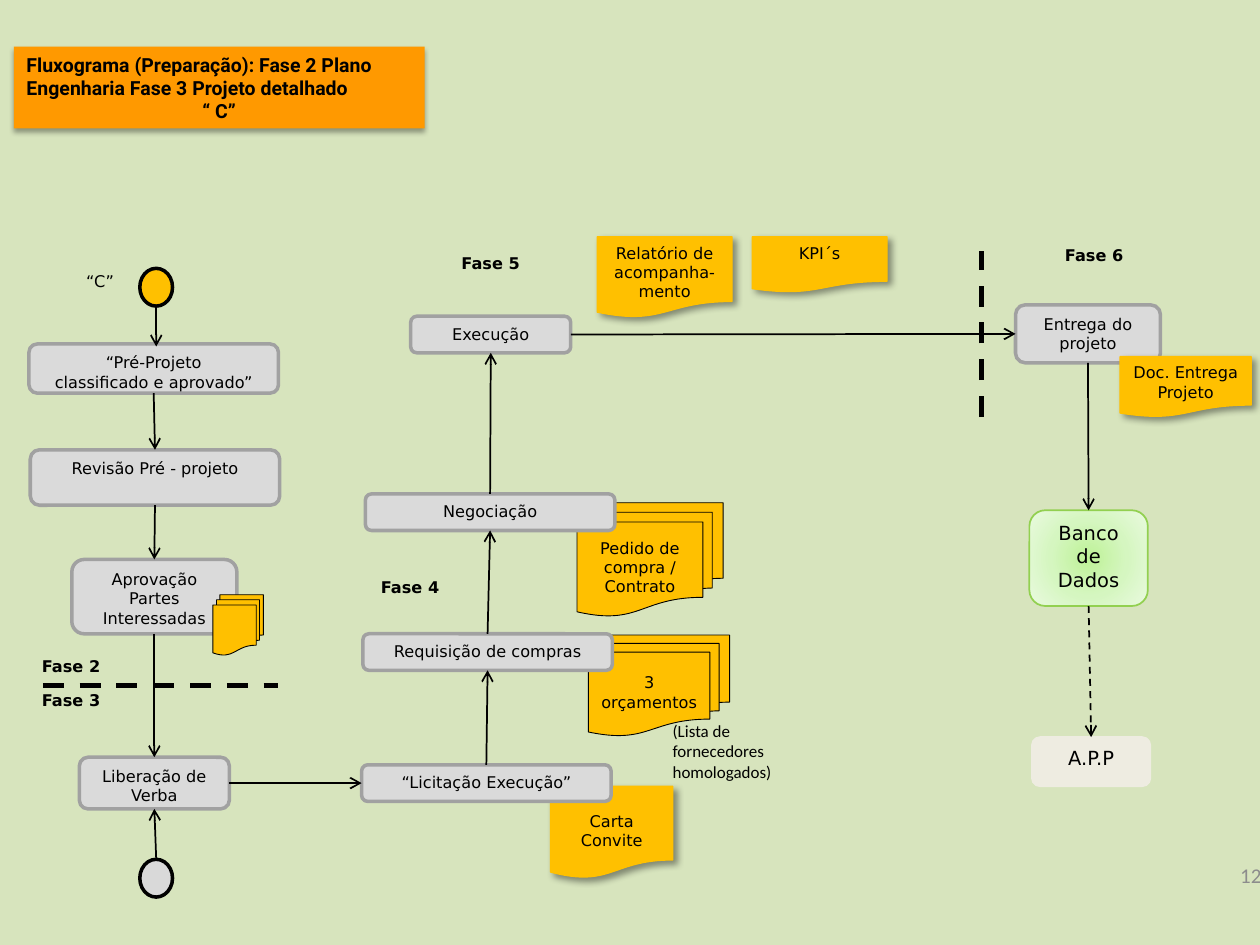
from dataclasses import dataclass, replace

from lxml import etree
from pptx import Presentation
from pptx.dml.color import RGBColor
from pptx.enum.dml import MSO_LINE
from pptx.enum.shapes import MSO_CONNECTOR, MSO_SHAPE
from pptx.enum.text import MSO_ANCHOR, PP_ALIGN
from pptx.oxml.ns import qn
from pptx.util import Inches, Pt

ROUND = MSO_SHAPE.ROUNDED_RECTANGLE
DOC = MSO_SHAPE.FLOWCHART_DOCUMENT
MULTI = MSO_SHAPE.FLOWCHART_MULTIDOCUMENT
DOT = MSO_SHAPE.FLOWCHART_CONNECTOR
LINE = MSO_CONNECTOR.STRAIGHT
DASH = MSO_LINE.DASH
TOP, MIDDLE = MSO_ANCHOR.TOP, MSO_ANCHOR.MIDDLE
LEFT, CENTER, RIGHT = PP_ALIGN.LEFT, PP_ALIGN.CENTER, PP_ALIGN.RIGHT

BLACK, GOLD = "000000", "FFC000"
FONT, BODY = "DejaVu Sans", "Calibri"
NORTH, WEST, SOUTH, EAST = range(4)


@dataclass(frozen=True)
class Style:
    kind: MSO_SHAPE = ROUND
    fill: str | None = None
    line: str | None = None
    width: float = 1
    size: float = 9.2
    bold: bool = False
    anchor: MSO_ANCHOR = TOP
    inset: float = 0.05
    shade: bool = False


@dataclass(frozen=True)
class Node:
    name: str
    text: str
    x: float
    y: float
    w: float
    h: float
    style: Style


@dataclass(frozen=True)
class Link:
    start: str
    out: int
    end: str
    into: int
    dash: bool = False


STEP = Style(fill="DADADA", line="A1A1A1", width=2)
NOTE = Style(DOC, GOLD, GOLD, 0.75, shade=True)
STACK = Style(MULTI, GOLD, BLACK, 0.5, anchor=MIDDLE)
LABEL = Style()
PHASE = Style(bold=True)
START = Style(DOT, GOLD, BLACK, 2)
STORE = Style(fill="D5F6C0", line="92D050", size=11.1)
APP = Style(fill="EEECE1", line="EEECE1", size=11.1)

# Back to front: documents behind steps, steps, documents in front, labels
NODES = [
    Node("letter", "Carta Convite", 4.37, 6.24, 0.97, 0.73, replace(NOTE, inset=0.2)),
    Node("quotes", "3 orçamentos", 4.67, 5.04, 1.12, 0.8, STACK),
    Node("order", "Pedido de compra / Contrato", 4.58, 3.99, 1.16, 0.9, STACK),
    Node("begin", "", 1.11, 2.13, 0.26, 0.3, START),
    Node("entry", "", 1.11, 6.82, 0.26, 0.3, replace(START, fill="D9D9D9")),
    Node("draft", "“Pré-Projeto\nclassificado e aprovado”", 0.23, 2.73, 1.98, 0.39, STEP),
    Node("review", "Revisão Pré - projeto", 0.24, 3.57, 1.98, 0.44, STEP),
    Node("approve", "Aprovação Partes Interessadas", 0.57, 4.44, 1.31, 0.59, STEP),
    Node("funds", "Liberação de Verba", 0.63, 6.01, 1.19, 0.41, STEP),
    Node("tender", "“Licitação Execução”", 2.87, 6.07, 1.98, 0.29, STEP),
    Node("request", "Requisição de compras", 2.88, 5.03, 1.98, 0.29, STEP),
    Node("deal", "Negociação", 2.9, 3.92, 1.98, 0.29, STEP),
    Node("build", "Execução", 3.26, 2.51, 1.27, 0.29, STEP),
    Node("deliver", "Entrega do projeto", 8.06, 2.42, 1.15, 0.46, STEP),
    Node("store", "Banco de Dados", 8.17, 4.05, 0.94, 0.76, STORE),
    Node("app", "A.P.P", 8.19, 5.85, 0.94, 0.39, APP),
    Node("papers", "", 1.69, 4.72, 0.4, 0.48, STACK),
    Node("report", "Relatório de acompanha-mento", 4.74, 1.88, 1.07, 0.64, NOTE),
    Node("kpi", "KPI´s", 5.97, 1.88, 1.07, 0.44, NOTE),
    Node("receipt", "Doc. Entrega Projeto", 8.89, 2.83, 1.04, 0.48, NOTE),
    Node("mark", "“C”", 0.38, 2.08, 0.83, 0.44, LABEL),
    Node("two", "Fase 2", 0.15, 5.14, 0.83, 0.44, PHASE),
    Node("three", "Fase 3", 0.15, 5.41, 0.83, 0.44, PHASE),
    Node("four", "Fase 4", 2.84, 4.51, 0.83, 0.44, PHASE),
    Node("five", "Fase 5", 3.48, 1.94, 0.83, 0.44, PHASE),
    Node("six", "Fase 6", 8.27, 1.88, 0.83, 0.44, PHASE),
]

LINKS = [
    Link("draft", SOUTH, "review", NORTH),
    Link("review", SOUTH, "approve", NORTH),
    Link("approve", SOUTH, "funds", NORTH),
    Link("funds", EAST, "tender", WEST),
    Link("tender", NORTH, "request", SOUTH),
    Link("request", NORTH, "deal", SOUTH),
    Link("deal", NORTH, "build", SOUTH),
    Link("build", EAST, "deliver", WEST),
    Link("deliver", SOUTH, "store", NORTH),
    Link("store", SOUTH, "app", NORTH, dash=True),
]


def color(code: str) -> RGBColor:
    return RGBColor.from_string(code)


def paint(shape, code: str) -> None:
    shape.fill.solid()
    shape.fill.fore_color.rgb = color(code)


def place(shape, x: float, y: float, w: float, h: float) -> None:
    shape.left, shape.top, shape.width, shape.height = map(Inches, (x, y, w, h))


def write(shape, text: str, size: float, align: PP_ALIGN, font: str = FONT,
          bold: bool = False, tint: str = BLACK, anchor: MSO_ANCHOR = TOP) -> None:
    frame = shape.text_frame
    frame.text = text
    frame.word_wrap = True
    frame.vertical_anchor = anchor
    for para in frame.paragraphs:
        para.alignment = align
        for run in para.runs:
            run.font.name, run.font.size, run.font.bold = font, Pt(size), bold
            run.font.color.rgb = color(tint)


def shade(shape, alpha: int, blur: float, dist: float, angle: int) -> None:
    shape.shadow.inherit = False
    effect = shape._element.spPr.find(qn("a:effectLst"))
    outer = etree.SubElement(effect, qn("a:outerShdw"), blurRad=str(Pt(blur)),
                             dist=str(Pt(dist)), dir=str(angle * 60000), rotWithShape="0")
    tone = etree.SubElement(outer, qn("a:srgbClr"), val=BLACK)
    etree.SubElement(tone, qn("a:alpha"), val=str(alpha * 1000))


def glow(shape, stops: dict[int, str]) -> None:
    """Swap the plain fill for a gradient that spreads from the centre."""
    grad = etree.Element(qn("a:gradFill"), rotWithShape="1")
    items = etree.SubElement(grad, qn("a:gsLst"))
    for pos, code in stops.items():
        stop = etree.SubElement(items, qn("a:gs"), pos=str(pos * 1000))
        etree.SubElement(stop, qn("a:srgbClr"), val=code)
    ring = etree.SubElement(grad, qn("a:path"), path="circle")
    etree.SubElement(ring, qn("a:fillToRect"), dict.fromkeys("ltrb", "50000"))
    props = shape._element.spPr
    props.replace(props.find(qn("a:solidFill")), grad)


def draw(slide, node: Node):
    style = node.style
    shape = slide.shapes.add_shape(style.kind, 0, 0, 0, 0)
    place(shape, node.x, node.y, node.w, node.h)
    shape.shadow.inherit = False
    if style.fill:
        paint(shape, style.fill)
    else:
        shape.fill.background()
    if style.line:
        shape.line.color.rgb = color(style.line)
        shape.line.width = Pt(style.width)
    else:
        shape.line.fill.background()
    if style.shade:
        shade(shape, 40, 4, 3, 45)
    if node.text:
        write(shape, node.text, style.size, CENTER, bold=style.bold, anchor=style.anchor)
        shape.text_frame.margin_top = Inches(style.inset)
    return shape


def rule(slide, x1: float = 0, y1: float = 0, x2: float = 0, y2: float = 0,
         width: float = 1, dash: bool = False, arrow: bool = True):
    line = slide.shapes.add_connector(LINE, *map(Inches, (x1, y1, x2, y2)))
    line.line.color.rgb = color(BLACK)
    line.line.width = Pt(width)
    if dash:
        line.line.dash_style = DASH
    if arrow:
        etree.SubElement(line.line._get_or_add_ln(), qn("a:tailEnd"), type="arrow")
    etree.SubElement(line._element.spPr, qn("a:effectLst"))
    return line


def main() -> None:
    deck = Presentation()
    deck.slide_width, deck.slide_height = Inches(10), Inches(7.5)
    slide = deck.slides.add_slide(deck.slide_layouts[5])
    paint(slide.background, "D7E4BD")

    # Title
    title = slide.shapes.title
    place(title, 0.11, 0.37, 3.26, 0.65)
    paint(title, "FF9900")
    shade(title, 35, 3.1, 1.8, 90)
    write(title, "Fluxograma (Preparação): Fase 2 Plano Engenharia Fase 3 Projeto detalhado\n“ C”",
          11.1, LEFT, "Roboto", True, anchor=MIDDLE)
    title.text_frame.paragraphs[1].alignment = CENTER

    # Steps, documents and labels
    parts = {node.name: draw(slide, node) for node in NODES}
    glow(parts["store"], {0: "BEF297", 50: "D5F6C0", 100: "EAFAE0"})

    # Flow
    for link in LINKS:
        line = rule(slide, dash=link.dash)
        line.begin_connect(parts[link.start], link.out)
        line.end_connect(parts[link.end], link.into)
    rule(slide, 1.24, 2.43, 1.24, 2.75)
    rule(slide, 1.24, 6.82, 1.23, 6.41).end_connect(parts["funds"], SOUTH)

    # Phase borders
    rule(slide, 0.34, 5.44, 2.21, 5.44, 3, True, False)
    rule(slide, 7.79, 3.31, 7.79, 1.99, 3, True, False)

    # Remark and page number
    remark = slide.shapes.add_textbox(*map(Inches, (5.24, 5.67, 1.1, 0.59)))
    write(remark, "(Lista de fornecedores homologados)", 9.7, LEFT, BODY)
    page = slide.shapes.add_textbox(*map(Inches, (9.67, 6.76, 0.44, 0.37)))
    write(page, "12", 12, RIGHT, BODY, tint="8C8C8C", anchor=MIDDLE)

    deck.save("out.pptx")


if __name__ == "__main__":
    main()
